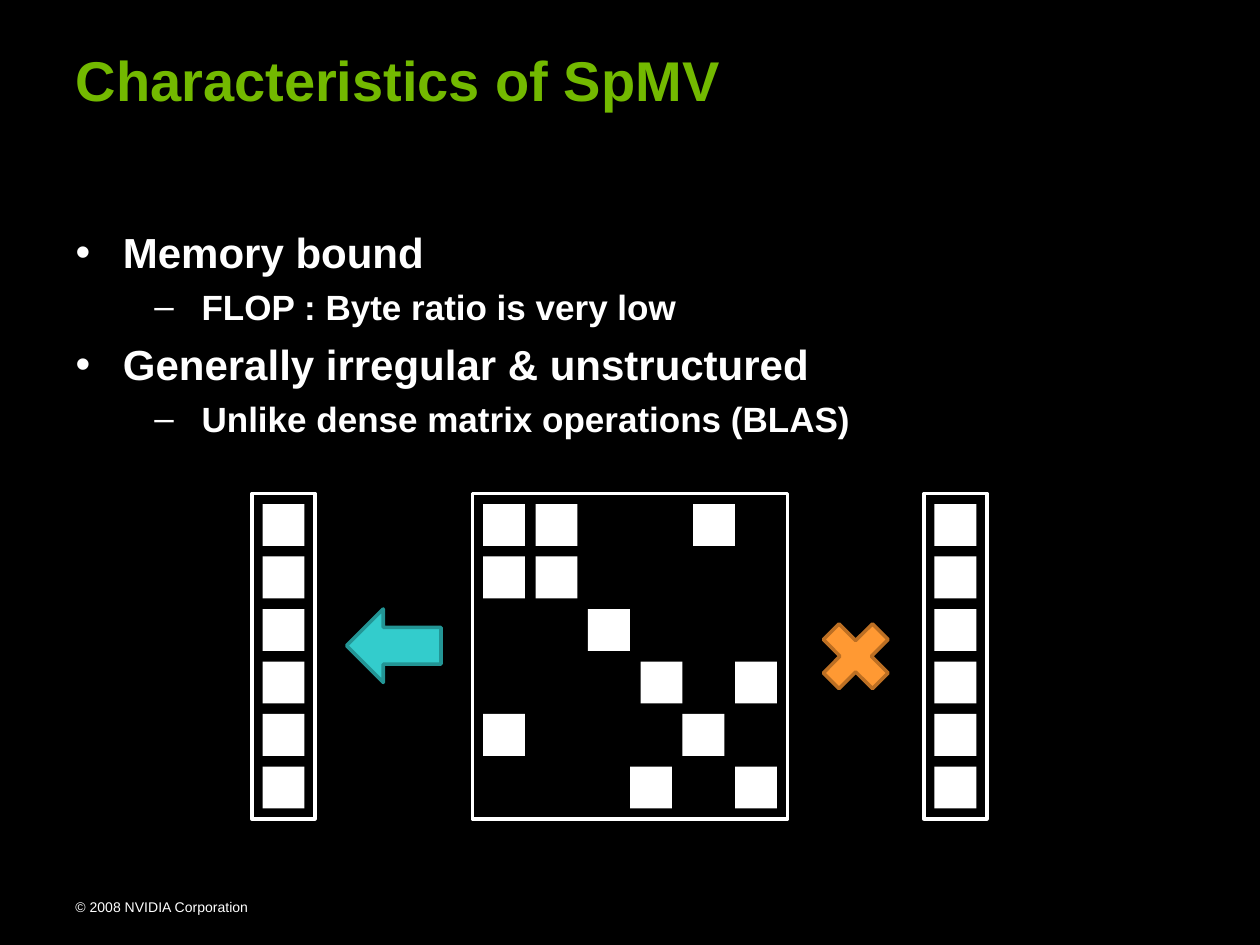
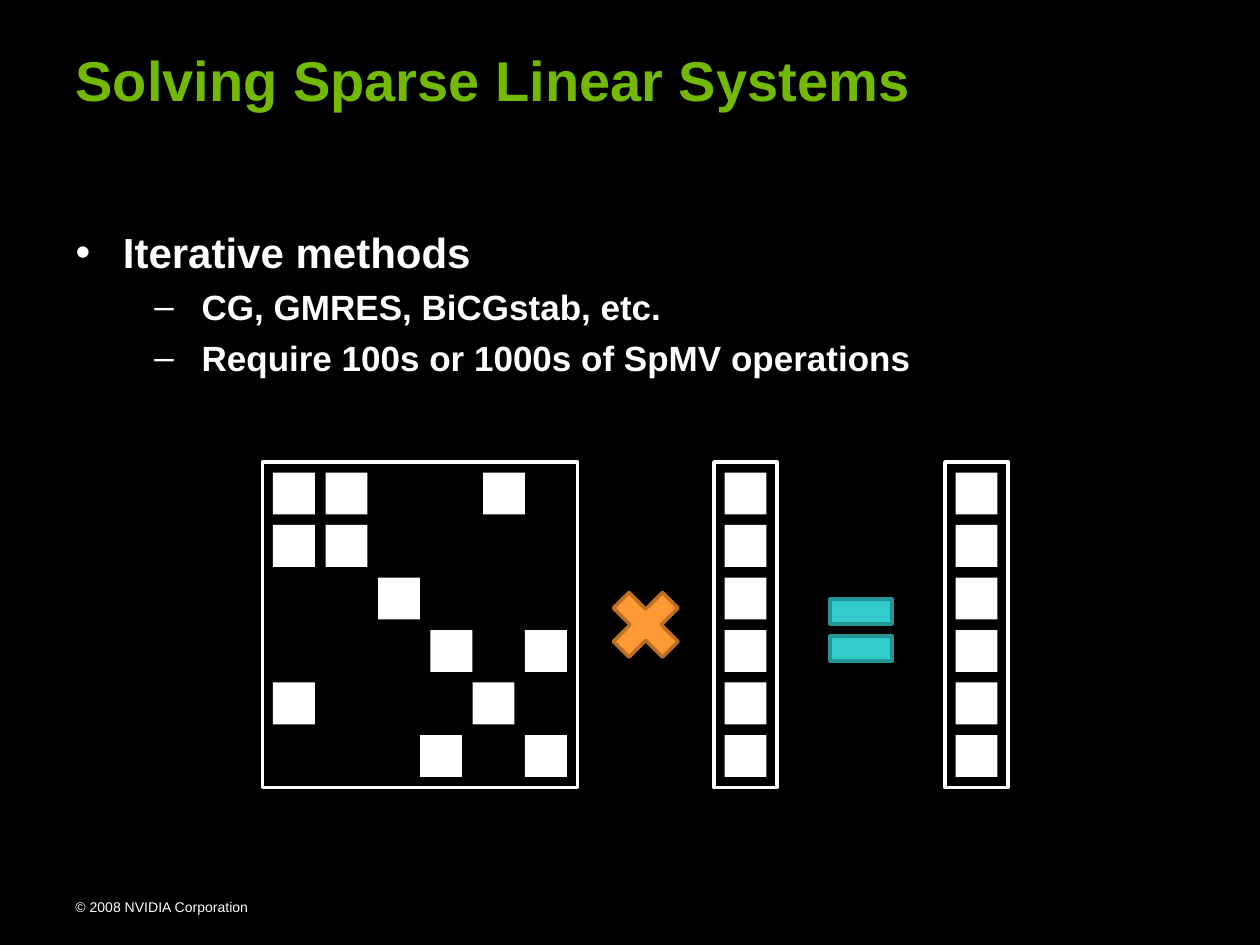
from pptx import Presentation
from pptx.dml.color import RGBColor
from pptx.enum.shapes import MSO_SHAPE
from pptx.enum.text import MSO_ANCHOR, MSO_AUTO_SIZE, PP_ALIGN
from pptx.util import Pt

BLACK = RGBColor(0x00, 0x00, 0x00)
WHITE = RGBColor(0xFF, 0xFF, 0xFF)
GREEN = RGBColor(0x73, 0xB9, 0x00)
ORANGE = RGBColor(0xFF, 0x99, 0x33)
DARK_ORANGE = RGBColor(0xBC, 0x6F, 0x23)
TEAL = RGBColor(0x33, 0xCC, 0xCC)
DARK_TEAL = RGBColor(0x23, 0x95, 0x95)

FONT = "Arial"
ENTRY = 24
ENTRY_PITCH = 30
PADDING = 6
ROWS = 6
FRAME_HEIGHT = ROWS * ENTRY_PITCH + PADDING
MATRIX_WIDTH = 180
VECTOR_WIDTH = 36

VECTOR_ENTRIES = [[0]] * ROWS
MATRIX_ENTRIES = [[0, 30, 120], [0, 30], [60], [90, 144], [0, 114], [84, 144]]

LEVEL_SIZES = (24, 20)
LEVEL_SPACING = (6, 5)
LEVEL_INDENTS = (27, 72)
HANGING = Pt(-27)


def place(shape, left, top, width, height):
    shape.left, shape.top = Pt(left), Pt(top)
    shape.width, shape.height = Pt(width), Pt(height)


def add_run(paragraph, text, size, color, bold=True):
    run = paragraph.add_run()
    run.text = text
    run.font.name = FONT
    run.font.size = Pt(size)
    run.font.bold = bold
    run.font.color.rgb = color


def add_footer(slide, layout):
    footer = slide.shapes.add_textbox(Pt(36), Pt(510), Pt(162), Pt(17))
    footer.text_frame.word_wrap = True
    add_run(footer.text_frame.paragraphs[0], "© 2008 NVIDIA Corporation", 8, WHITE, False)
    layout.shapes.element.append(footer.element)


def set_title(slide, text):
    title = slide.shapes.title
    place(title, 36, 22, 582, 46)
    frame = title.text_frame
    frame.auto_size = MSO_AUTO_SIZE.NONE
    frame.vertical_anchor = MSO_ANCHOR.BOTTOM
    frame.paragraphs[0].alignment = PP_ALIGN.LEFT
    add_run(frame.paragraphs[0], text, 32, GREEN)


def set_bullets(slide, points):
    body = slide.placeholders[1]
    place(body, 36, 126, 648, 372)
    frame = body.text_frame
    frame.auto_size = MSO_AUTO_SIZE.NONE
    for index, (level, text) in enumerate(points):
        paragraph = frame.add_paragraph() if index else frame.paragraphs[0]
        paragraph.level = level
        paragraph.space_before = Pt(LEVEL_SPACING[level] if index else 0)
        properties = paragraph._p.get_or_add_pPr()
        properties.set("marL", str(Pt(LEVEL_INDENTS[level])))
        properties.set("indent", str(HANGING))
        add_run(paragraph, text, LEVEL_SIZES[level], WHITE)


def add_figure(slide, preset, left, top, width, height, fill=None, line=None):
    figure = slide.shapes.add_shape(preset, Pt(left), Pt(top), Pt(width), Pt(height))
    figure.shadow.inherit = False
    if fill is None:
        figure.fill.background()
    else:
        figure.fill.solid()
        figure.fill.fore_color.rgb = fill
    if line is None:
        figure.line.fill.background()
    else:
        figure.line.color.rgb = line
        figure.line.width = Pt(2)


def add_array(slide, left, top, width, entries):
    add_figure(slide, MSO_SHAPE.RECTANGLE, left, top, width, FRAME_HEIGHT, line=WHITE)
    for row, offsets in enumerate(entries):
        for offset in offsets:
            add_figure(slide, MSO_SHAPE.RECTANGLE, left + PADDING + offset,
                       top + PADDING + row * ENTRY_PITCH, ENTRY, ENTRY, fill=WHITE)


def add_matrix(slide, left, top):
    add_array(slide, left, top, MATRIX_WIDTH, MATRIX_ENTRIES)


def add_vector(slide, left, top):
    add_array(slide, left, top, VECTOR_WIDTH, VECTOR_ENTRIES)


def add_times(slide, left, top):
    add_figure(slide, MSO_SHAPE.MATH_MULTIPLY, left, top, 54, 54, ORANGE, DARK_ORANGE)


def add_content_slide(deck, layout, title, points):
    slide = deck.slides.add_slide(layout)
    set_title(slide, title)
    set_bullets(slide, points)
    return slide


def add_characteristics(deck, layout):
    slide = add_content_slide(deck, layout, "Characteristics of SpMV", [
        (0, "Memory bound"),
        (1, "FLOP : Byte ratio is very low"),
        (0, "Generally irregular & unstructured"),
        (1, "Unlike dense matrix operations (BLAS)"),
    ])
    top = 282
    add_matrix(slide, 270, top)
    add_vector(slide, 528, top)
    add_times(slide, 462, top + 66)
    add_vector(slide, 144, top)
    add_figure(slide, MSO_SHAPE.LEFT_ARROW, 198, top + 66, 54, 42, TEAL, DARK_TEAL)
    return slide


def add_linear_systems(deck, layout):
    slide = add_content_slide(deck, layout, "Solving Sparse Linear Systems", [
        (0, "Iterative methods"),
        (1, "CG, GMRES, BiCGstab, etc."),
        (1, "Require 100s or 1000s of SpMV operations"),
    ])
    top = 264
    add_matrix(slide, 150, top)
    add_vector(slide, 408, top)
    add_times(slide, 342, top + 66)
    add_vector(slide, 540, top)
    add_figure(slide, MSO_SHAPE.MATH_EQUAL, 468, top + 66, 48, 60, TEAL, DARK_TEAL)


def main():
    deck = Presentation()
    deck.slide_width, deck.slide_height = Pt(720), Pt(540)
    background = deck.slide_master.background.fill
    background.solid()
    background.fore_color.rgb = BLACK
    layout = deck.slide_layouts[1]
    characteristics = add_characteristics(deck, layout)
    add_footer(characteristics, layout)
    add_linear_systems(deck, layout)
    deck.save("out.pptx")


if __name__ == "__main__":
    main()
